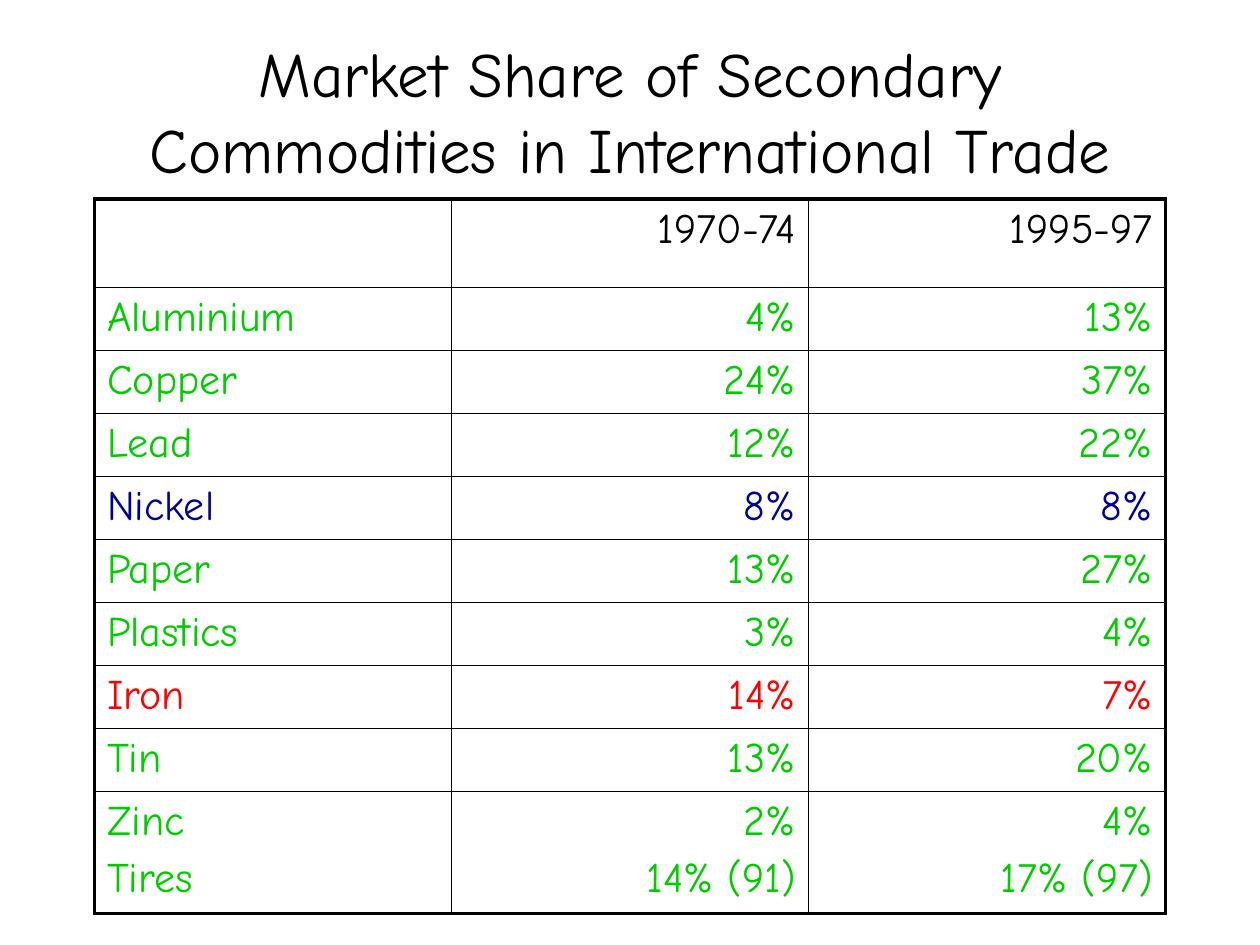
from dataclasses import dataclass

import lxml.etree
import pptx
import pptx.enum.text
import pptx.oxml.ns
import pptx.util
from pptx.util import Inches

FONT = "Comic Neue"
COLOURS = {"text": "000000", "border": "000000", "rise": "00CC00", "same": "000099", "fall": "FF0000"}
THIN, THICK = 1, 2.25
ALIGN = pptx.enum.text.PP_ALIGN


@dataclass(frozen=True)
class ShareRow:
    """One table row; each cell holds a tuple of paragraphs."""
    cells: tuple[tuple[str, ...], ...]
    colour: str = "rise"
    height: float = 0.45


def share(name: str, early: str, late: str, colour: str = "rise") -> ShareRow:
    return ShareRow(((name,), (early,), (late,)), colour)


ROWS = [
    ShareRow(((), ("1970-74",), ("1995-97",)), "text", 0.7),
    share("Aluminium", "4%", "13%"),
    share("Copper", "24%", "37%"),
    share("Lead", "12%", "22%"),
    share("Nickel", "8%", "8%", "same"),
    share("Paper", "13%", "27%"),
    share("Plastics", "3%", "4%"),
    share("Iron", "14%", "7%", "fall"),
    share("Tin", "13%", "20%"),
    ShareRow((("Zinc", "Tires"), ("2%", "14% (91)"), ("4%", "17% (97)"))),
]


def add_span(para, text: str, size: float, colour: str) -> None:
    span = para.add_run()
    span.text = text
    span.font.name = FONT
    span.font.size = pptx.util.Pt(size)
    span.font.color.rgb = pptx.dml.color.RGBColor.from_string(COLOURS[colour])


def add_title(slide, text: str) -> None:
    box = slide.shapes.add_textbox(Inches(0.75), Inches(0.25), Inches(8.5), Inches(1.25))
    frame = box.text_frame
    frame.word_wrap = True
    frame.vertical_anchor = pptx.enum.text.MSO_ANCHOR.MIDDLE
    para = frame.paragraphs[0]
    para.alignment = ALIGN.CENTER
    add_span(para, text, 36, "text")


def set_borders(cell, widths: dict[str, float]) -> None:
    """Add border lines, keyed by side, ahead of the cell's fill."""
    properties = cell._tc.get_or_add_tcPr()
    for index, (side, width) in enumerate(widths.items()):
        line = lxml.etree.Element(pptx.oxml.ns.qn(f"a:ln{side}"), w=str(pptx.util.Pt(width)))
        fill = lxml.etree.SubElement(line, pptx.oxml.ns.qn("a:solidFill"))
        lxml.etree.SubElement(fill, pptx.oxml.ns.qn("a:srgbClr"), val=COLOURS["border"])
        properties.insert(index, line)


def fill_cell(cell, lines: tuple[str, ...], colour: str, alignment) -> None:
    cell.fill.background()
    for index, text in enumerate(lines):
        para = cell.text_frame.add_paragraph() if index else cell.text_frame.paragraphs[0]
        para.alignment = alignment
        para.space_before = pptx.util.Pt(4.8)
        add_span(para, text, 24, colour)


def add_share_table(slide, rows: list[ShareRow]) -> None:
    last_row, last_column = len(rows) - 1, len(rows[0].cells) - 1
    height = sum(row.height for row in rows)
    table = slide.shapes.add_table(
        len(rows), last_column + 1, Inches(0.75), Inches(1.58), Inches(8.5), Inches(height)
    ).table
    table.first_row = table.horz_banding = False
    for r, row in enumerate(rows):
        table.rows[r].height = Inches(row.height)
        for c, lines in enumerate(row.cells):
            cell = table.cell(r, c)
            fill_cell(cell, lines, row.colour, ALIGN.RIGHT if c else ALIGN.LEFT)
            outer = {"L": c == 0, "R": c == last_column, "T": r == 0, "B": r == last_row}
            set_borders(cell, {side: THICK if edge else THIN for side, edge in outer.items()})


def main() -> None:
    deck = pptx.Presentation()
    deck.slide_width, deck.slide_height = Inches(10), Inches(7.5)
    slide = deck.slides.add_slide(deck.slide_layouts[6])
    add_title(slide, "Market Share of Secondary Commodities in International Trade")
    add_share_table(slide, ROWS)
    deck.save("out.pptx")


if __name__ == "__main__":
    main()
